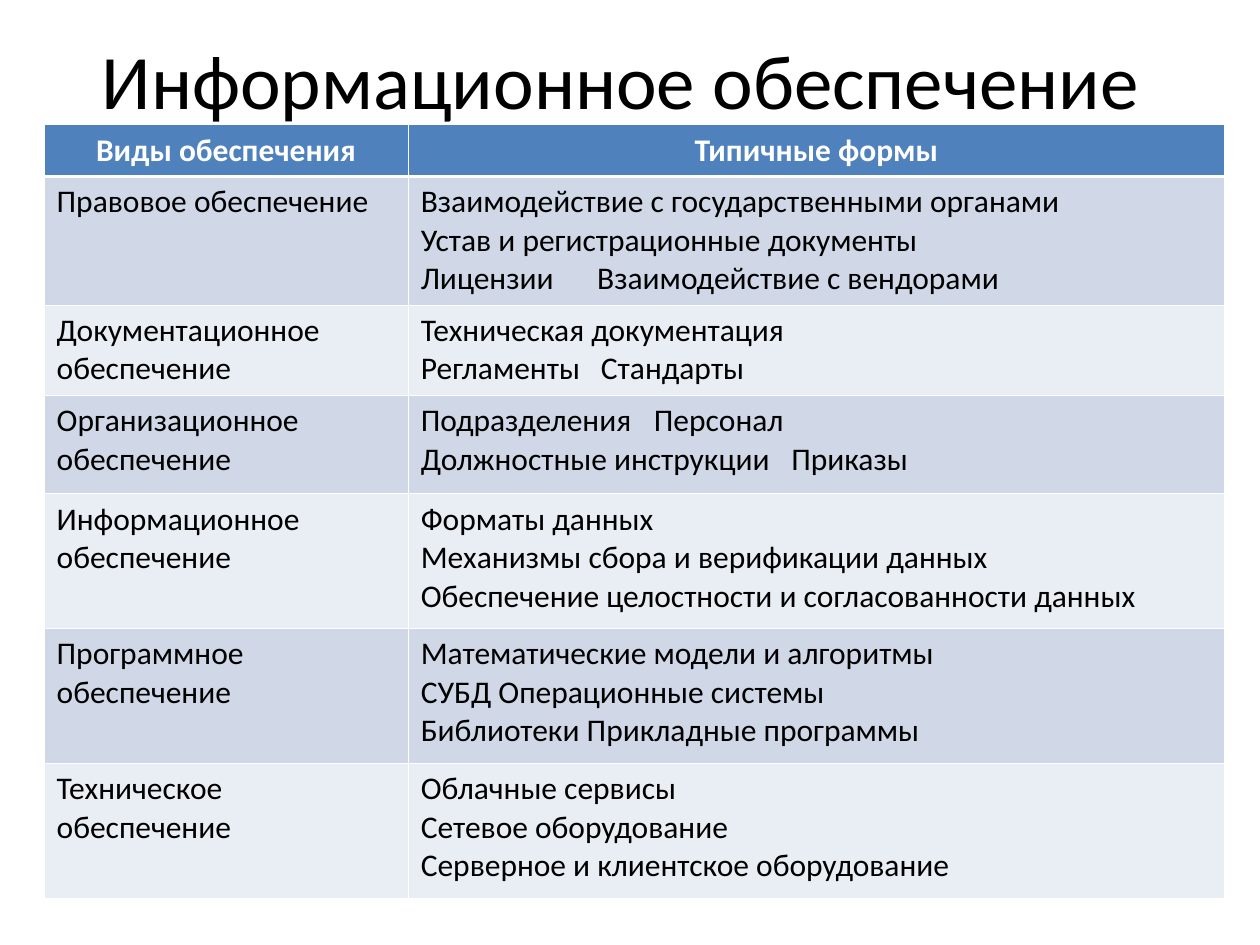
from lxml.etree import SubElement
from pptx import Presentation
from pptx.dml.color import RGBColor
from pptx.enum.text import MSO_ANCHOR, PP_ALIGN
from pptx.oxml.ns import qn
from pptx.util import Inches, Pt

# Content: a line with a gap is (text with a tab, tab stop in inches)
TITLE = "Информационное обеспечение"
HEADERS = ["Виды обеспечения", "Типичные формы"]
SUPPORT_KINDS = [
    ("Правовое обеспечение", 1.02, [
        "Взаимодействие с государственными органами",
        "Устав и регистрационные документы",
        ("Лицензии\tВзаимодействие с вендорами", 1.4)]),
    ("Документационное обеспечение", 0.72, [
        "Техническая документация",
        ("Регламенты\tСтандарты", 1.43)]),
    ("Организационное обеспечение", 0.78, [
        ("Подразделения\tПерсонал", 1.85),
        ("Должностные инструкции\tПриказы", 2.94)]),
    ("Информационное обеспечение", 1.07, [
        "Форматы данных",
        "Механизмы сбора и верификации данных",
        "Обеспечение целостности и согласованности данных"]),
    ("Программное обеспечение", 1.07, [
        "Математические модели и алгоритмы",
        "СУБД Операционные системы",
        "Библиотеки Прикладные программы"]),
    ("Техническое обеспечение", 1.07, [
        "Облачные сервисы",
        "Сетевое оборудование",
        "Серверное и клиентское оборудование"]),
]

# Format
FONT = "Calibri"
BLACK = RGBColor(0x00, 0x00, 0x00)
WHITE = RGBColor(0xFF, 0xFF, 0xFF)
HEADER_BLUE = RGBColor(0x4F, 0x81, 0xBD)
BANDS = [RGBColor(0xD0, 0xD8, 0xE8), RGBColor(0xE9, 0xED, 0xF4)]
COLUMN_WIDTHS = [2.89, 6.48]
HEADER_HEIGHT = 0.41
THIN, THICK = Pt(0.45), Pt(1.47)


def write_text(frame, lines, size=18, color=BLACK, bold=False, align=PP_ALIGN.LEFT):
    for index, line in enumerate(lines):
        text, tab_stop = line if isinstance(line, tuple) else (line, None)
        paragraph = frame.paragraphs[0] if index == 0 else frame.add_paragraph()
        paragraph.alignment = align
        if tab_stop:
            tabs = SubElement(paragraph._p.get_or_add_pPr(), qn("a:tabLst"))
            SubElement(tabs, qn("a:tab"), pos=str(Inches(tab_stop)), algn="l")
        run = paragraph.add_run()
        run.text = text
        run.font.name, run.font.size = FONT, Pt(size)
        run.font.bold = bold
        run.font.color.rgb = color


def style_cell(cell, fill, top=THIN, bottom=THIN):
    properties = cell._tc.get_or_add_tcPr()
    for side, width in (("L", THIN), ("R", THIN), ("T", top), ("B", bottom)):
        border = SubElement(properties, qn("a:ln" + side), w=str(width))
        solid = SubElement(border, qn("a:solidFill"))
        SubElement(solid, qn("a:srgbClr"), val=str(WHITE))
    cell.fill.solid()
    cell.fill.fore_color.rgb = fill


presentation = Presentation()
presentation.slide_width, presentation.slide_height = Inches(10), Inches(7.5)
slide = presentation.slides.add_slide(presentation.slide_layouts[5])

# Title
title = slide.shapes.title
title.left, title.top = Inches(0.43), Inches(0)
title.width, title.height = Inches(9), Inches(1.25)
title.text_frame.vertical_anchor = MSO_ANCHOR.MIDDLE
write_text(title.text_frame, [TITLE], size=44, align=PP_ALIGN.CENTER)

# Table grid
heights = [HEADER_HEIGHT] + [height for _, height, _ in SUPPORT_KINDS]
table = slide.shapes.add_table(
    len(heights), len(COLUMN_WIDTHS), Inches(0.35), Inches(0.99),
    Inches(sum(COLUMN_WIDTHS)), Inches(sum(heights))).table
for column, width in zip(table.columns, COLUMN_WIDTHS):
    column.width = Inches(width)
for row, height in zip(table.rows, heights):
    row.height = Inches(height)

# Header row
for cell, header in zip(table.rows[0].cells, HEADERS):
    style_cell(cell, HEADER_BLUE, bottom=THICK)
    write_text(cell.text_frame, [header], color=WHITE, bold=True, align=PP_ALIGN.CENTER)

# Banded body rows
for index, (kind, _, forms) in enumerate(SUPPORT_KINDS):
    for cell, lines in zip(table.rows[index + 1].cells, ([kind], forms)):
        style_cell(cell, BANDS[index % 2], top=THIN if index else THICK)
        write_text(cell.text_frame, lines)

presentation.save("out.pptx")
